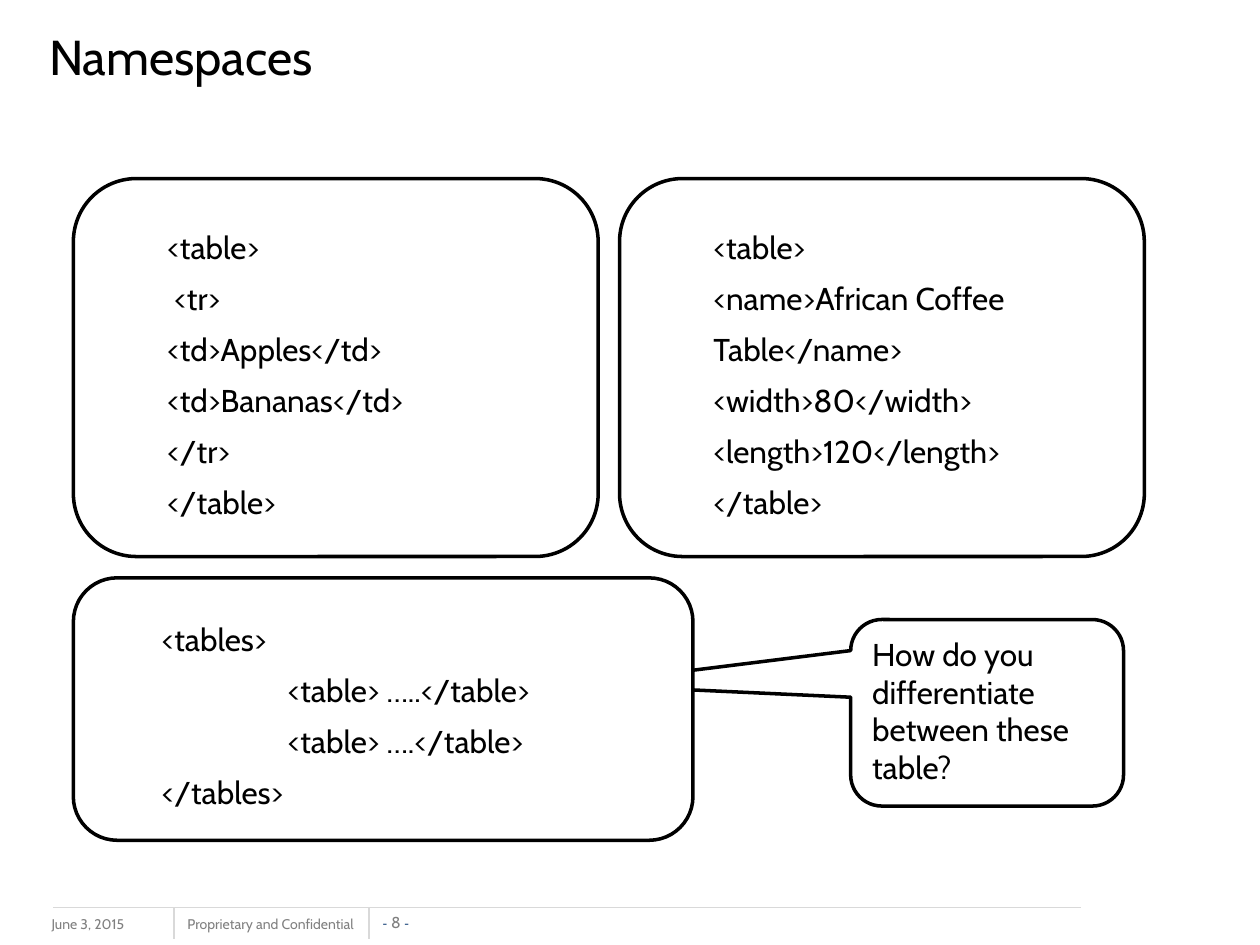
from lxml.etree import SubElement
from pptx import Presentation
from pptx.dml.color import RGBColor
from pptx.enum.shapes import MSO_CONNECTOR, MSO_SHAPE
from pptx.enum.text import MSO_ANCHOR, PP_ALIGN
from pptx.oxml.ns import qn
from pptx.util import Cm, Pt

BLACK = RGBColor(0x00, 0x00, 0x00)
WHITE = RGBColor(0xFF, 0xFF, 0xFF)
GRAY = RGBColor(0x80, 0x80, 0x80)
RULE_GRAY = RGBColor(0xD9, 0xD9, 0xD9)
NAVY = RGBColor(0x1F, 0x49, 0x7D)

BODY_FONT = {"name": "Cabin", "size": Pt(18)}
FOOTER_FONT = {"name": "Cabin", "size": Pt(8)}
DASH_FONT = {"name": "Arial", "size": Pt(8)}

INDENT, TAB = Cm(1.27), Cm(2.54)
BOX_LEFT, BOX_TOP, BOX_WIDTH, BOX_HEIGHT = 1.48, 3.6, 10.58, 7.62
BOX_GAP = 0.43
FOOTER_TOP = 18.29


def set_attributes(target, values):
    for name, value in values.items():
        setattr(target, name, value)


def add_run(paragraph, text, font, color):
    run = paragraph.add_run()
    run.text = text
    set_attributes(run.font, font)
    run.font.color.rgb = color


def add_text(slide, box, runs, frame_format, paragraph_format=None):
    frame = slide.shapes.add_textbox(*map(Cm, box)).text_frame
    set_attributes(frame, frame_format)
    paragraph = frame.paragraphs[0]
    set_attributes(paragraph, paragraph_format or {})
    for text, font, color in runs:
        add_run(paragraph, text, font, color)


def add_outlined_shape(slide, kind, box, anchor):
    shape = slide.shapes.add_shape(kind, *map(Cm, box))
    shape.shadow.inherit = False
    shape.fill.solid()
    shape.fill.fore_color.rgb = WHITE
    shape.line.color.rgb = BLACK
    shape.line.width = Pt(2)
    set_attributes(shape.text_frame, {"word_wrap": True, "vertical_anchor": anchor})
    return shape


def add_code_box(slide, box, lines):
    """Rounded box holding (depth, text) lines of markup."""
    shape = add_outlined_shape(slide, MSO_SHAPE.ROUNDED_RECTANGLE, box, MSO_ANCHOR.MIDDLE)
    frame = shape.text_frame
    for number, (depth, text) in enumerate(lines):
        paragraph = frame.add_paragraph() if number else frame.paragraphs[0]
        set_attributes(paragraph, {"alignment": PP_ALIGN.LEFT, "line_spacing": 1.35})
        properties = paragraph._p.get_or_add_pPr()
        properties.set("marL", str(INDENT + depth * TAB))
        properties.set("indent", "0")
        add_run(paragraph, text, BODY_FONT, BLACK)


def add_callout(slide, box, text):
    shape = add_outlined_shape(
        slide, MSO_SHAPE.ROUNDED_RECTANGULAR_CALLOUT, box, MSO_ANCHOR.TOP)
    for index, value in enumerate((-1.502, -0.151, 0.167)):
        shape.adjustments[index] = value
    paragraph = shape.text_frame.paragraphs[0]
    paragraph.alignment = PP_ALIGN.LEFT
    add_run(paragraph, text, BODY_FONT, BLACK)


def add_rule(slide, *ends):
    line = slide.shapes.add_connector(MSO_CONNECTOR.STRAIGHT, *map(Cm, ends))
    line.line.color.rgb = RULE_GRAY
    line.line.width = Pt(0.75)
    SubElement(line._element.spPr, qn("a:effectLst"))


def add_footer(slide):
    add_text(slide, (0.79, 18.34, 3.38, 0.64),
             [("June 3, 2015", FOOTER_FONT, GRAY)], {"word_wrap": True})
    add_text(slide, (3.53, 18.34, 3.99, 0.61),
             [("Proprietary and Confidential", FOOTER_FONT, GRAY)], {"word_wrap": False})
    no_margins = dict.fromkeys(
        ("margin_left", "margin_top", "margin_right", "margin_bottom"), 0)
    add_text(slide, (7.65, 18.41, 0.66, 0.38),
             [("- ", DASH_FONT, NAVY),
              ("8 ", {"name": "Cabin", "size": Pt(9)}, GRAY),
              ("-", DASH_FONT, NAVY)],
             {"word_wrap": False, "vertical_anchor": MSO_ANCHOR.BOTTOM, **no_margins},
             {"alignment": PP_ALIGN.CENTER})
    add_rule(slide, 21.79, FOOTER_TOP, 1.07, FOOTER_TOP)
    for left in (3.51, 7.44):
        add_rule(slide, left, FOOTER_TOP, left, 18.92)


def main():
    presentation = Presentation()
    presentation.slide_width, presentation.slide_height = Cm(25.4), Cm(19.05)
    slide = presentation.slides.add_slide(presentation.slide_layouts[6])

    add_footer(slide)

    # Question pointing at the combined document
    add_callout(slide, (17.15, 12.49, 5.5, 3.76),
                "How do you differentiate between these table?")

    # Two meanings of the same tag, side by side
    fruit_table = ("<table>", " <tr>", "<td>Apples</td>", "<td>Bananas</td>",
                   "</tr>", "</table>")
    furniture_table = (
        "<table>",
        "<name>African Coffee Table</name> <width>80</width> <length>120</length>",
        "</table>")
    for column, lines in enumerate((fruit_table, furniture_table)):
        left = BOX_LEFT + column * (BOX_WIDTH + BOX_GAP)
        add_code_box(slide, (left, BOX_TOP, BOX_WIDTH, BOX_HEIGHT),
                     [(0, line) for line in lines])

    # Combined document
    add_code_box(slide, (BOX_LEFT, BOX_TOP + BOX_HEIGHT + BOX_GAP, 12.49, 5.29),
                 [(0, "<tables>"), (1, "<table> …..</table>"),
                  (1, "<table> ….</table>"), (0, "</tables>")])

    # Title
    add_text(slide, (0.74, 0.25, 22.66, 1.98),
             [("Namespaces", {"name": "Cabin", "size": Pt(28)}, BLACK)],
             {"word_wrap": True, "vertical_anchor": MSO_ANCHOR.MIDDLE},
             {"line_spacing": 0.8})

    presentation.save("out.pptx")


if __name__ == "__main__":
    main()
